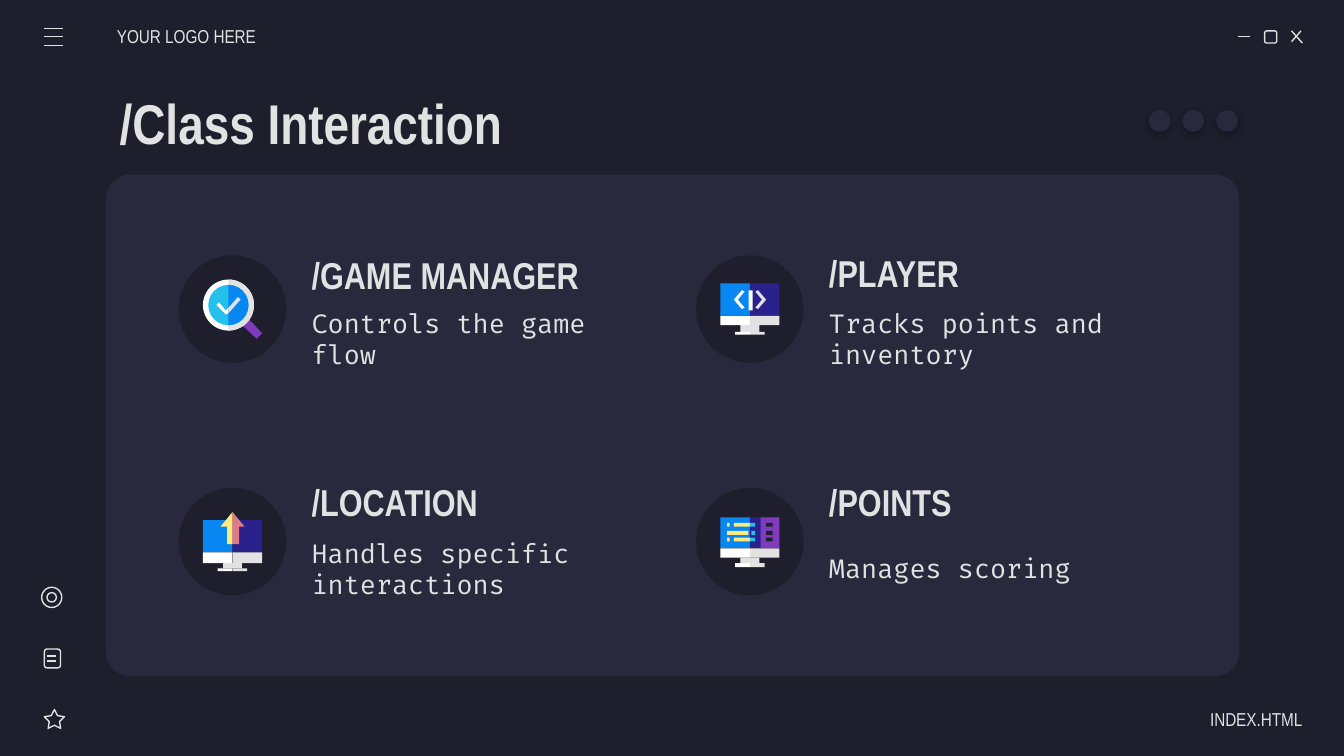
from lxml import etree
from pptx import Presentation
from pptx.dml.color import RGBColor
from pptx.enum.shapes import MSO_CONNECTOR, MSO_SHAPE
from pptx.enum.text import MSO_ANCHOR, PP_ALIGN
from pptx.oxml.ns import qn
from pptx.util import Inches, Pt

RECT, ROUND, OVAL = MSO_SHAPE.RECTANGLE, MSO_SHAPE.ROUNDED_RECTANGLE, MSO_SHAPE.OVAL
CHORD, STAR = MSO_SHAPE.CHORD, MSO_SHAPE.STAR_5_POINT
STRAIGHT = MSO_CONNECTOR.STRAIGHT
MIDDLE, LEFT, RIGHT = MSO_ANCHOR.MIDDLE, PP_ALIGN.LEFT, PP_ALIGN.RIGHT

NARROW, MONO = "Arial Narrow", "Fira Code"
DARK, PANEL, LIGHT, WHITE = "1E1E2C", "29283D", "E2E2E2", "FFFFFF"
BLUE, NAVY, CYAN = "0887F2", "2B218D", "24BFEB"
PURPLE, YELLOW, PINK = "7E3BBE", "FFEA7D", "E07A88"

TITLE = "/Class Interaction"
# heading, description, circle left, circle top, heading top, description top
CARDS = [
    ("/GAME MANAGER", "Controls the game flow", 1.33, 1.9, 1.83, 2.24),
    ("/PLAYER", "Tracks points and inventory", 5.18, 1.9, 1.81, 2.24),
    ("/LOCATION", "Handles specific interactions", 1.33, 3.63, 3.52, 3.95),
    ("/POINTS", "Manages scoring", 5.18, 3.63, 3.52, 3.95),
]
WINDOW_LINES = [(9.21, 0.27, 9.3, 0.27), (9.61, 0.23, 9.69, 0.32), (9.68, 0.23, 9.61, 0.31)]
MENU_LINES = [(0.33, y, 0.47, y) for y in (0.21, 0.27, 0.34)]
NOTE_LINES = [(0.35, y, 0.42, y) for y in (4.88, 4.92)]
SIDE_SHAPES = [
    (STAR, 0.33, 5.28, 0.15, 0.14, (0.254, 1.051, 1.106)),
    (ROUND, 0.33, 4.83, 0.12, 0.14, (0.167,)),
    (OVAL, 0.31, 4.37, 0.15, 0.15, ()),
    (OVAL, 0.35, 4.41, 0.07, 0.07, ()),
]
DOT_LEFTS = (8.55, 8.8, 9.05)

LENS_HANDLE = [(1.83, 2.35), (1.78, 2.4), (1.91, 2.52), (1.95, 2.48)]
CHECK_LEFT = [(1.63, 2.25), (1.61, 2.27), (1.68, 2.34), (1.7, 2.33), (1.7, 2.29), (1.68, 2.31)]
CHECK_RIGHT = [(1.77, 2.21), (1.7, 2.29), (1.7, 2.33), (1.79, 2.23)]
CODE_LEFT = [(5.52, 2.16), (5.46, 2.23), (5.52, 2.3), (5.54, 2.29), (5.49, 2.23), (5.54, 2.17)]
CODE_RIGHT = [(5.64, 2.16), (5.62, 2.17), (5.67, 2.23), (5.62, 2.29), (5.64, 2.3), (5.7, 2.23)]
ARROW_LEFT = [(1.73, 3.81), (1.64, 3.92), (1.69, 3.92), (1.69, 4.05), (1.73, 4.05)]
ARROW_RIGHT = [(1.73, 3.81), (1.73, 4.05), (1.78, 4.05), (1.78, 3.92), (1.82, 3.92)]
OUTER_LIST_ROW = [(5.41, 5.43, YELLOW), (5.46, 5.58, YELLOW), (5.58, 5.62, CYAN), (5.7, 5.75, DARK)]
MIDDLE_LIST_ROW = [(5.41, 5.57, YELLOW), (5.59, 5.62, CYAN), (5.7, 5.75, DARK)]
LIST_ROWS = [(3.89, OUTER_LIST_ROW), (3.95, MIDDLE_LIST_ROW), (4.0, OUTER_LIST_ROW)]


def rgb(color):
    return RGBColor.from_string(color)


def paint(shape, fill=None, line=None):
    shape.shadow.inherit = False
    if fill:
        shape.fill.solid()
        shape.fill.fore_color.rgb = rgb(fill)
    else:
        shape.fill.background()
    if line:
        shape.line.color.rgb = rgb(line)
        shape.line.width = Pt(0.75)
    else:
        shape.line.fill.background()


def add_preset(shapes, kind, left, top, width, height, fill=None, line=None, adjust=()):
    shape = shapes.add_shape(kind, Inches(left), Inches(top), Inches(width), Inches(height))
    for index, value in enumerate(adjust):
        shape.adjustments[index] = value
    paint(shape, fill, line)
    return shape


def add_block(shapes, left, top, right, bottom, fill):
    """Draw a plain rectangle given by its four edges."""
    add_preset(shapes, RECT, left, top, right - left, bottom - top, fill)


def add_polygon(shapes, points, fill):
    corners = [(Inches(x), Inches(y)) for x, y in points]
    builder = shapes.build_freeform(*corners[0])
    builder.add_line_segments(corners[1:], close=True)
    paint(builder.convert_to_shape(), fill)


def add_lines(shapes, lines):
    for ends in lines:
        line = shapes.add_connector(STRAIGHT, *[Inches(value) for value in ends])
        line.line.color.rgb = rgb(LIGHT)
        line.line.width = Pt(0.75)
        etree.SubElement(line._element.spPr, qn("a:effectLst"))


def write(box, text, size, font, bold=False, align=LEFT, left_inset=0.1, right_inset=0.1):
    frame = box.text_frame
    frame.text = text
    frame.word_wrap = True
    frame.vertical_anchor = MIDDLE
    frame.margin_left, frame.margin_right = Inches(left_inset), Inches(right_inset)
    frame.margin_top = frame.margin_bottom = Inches(0.1)
    paragraph = frame.paragraphs[0]
    paragraph.alignment = align
    span = paragraph.runs[0].font
    span.size, span.name, span.bold = Pt(size), font, bold
    span.color.rgb = rgb(LIGHT)


def add_text(shapes, left, top, width, height, *args, **style):
    box = shapes.add_textbox(Inches(left), Inches(top), Inches(width), Inches(height))
    write(box, *args, **style)


def add_soft_shadow(shape):
    effects = shape._element.spPr.find(qn("a:effectLst"))
    shadow = etree.SubElement(effects, qn("a:outerShdw"), blurRad=str(Pt(4.5)), dist=str(Pt(1.5)),
                              dir="5400000", algn="bl", rotWithShape="0")
    color = etree.SubElement(shadow, qn("a:srgbClr"), val="000000")
    etree.SubElement(color, qn("a:alpha"), val="30000")


def add_monitor(shapes, left, top, chin, neck, base, foot):
    """Draw a two-tone screen on a stand; the last five values are its levels downwards."""
    middle, right = left + 0.22, left + 0.44
    add_block(shapes, left, top, middle, chin, BLUE)
    add_block(shapes, middle, top, right, chin, NAVY)
    add_block(shapes, left + 0.15, neck, left + 0.29, base, LIGHT)
    add_block(shapes, left + 0.11, base, middle, foot, WHITE)
    add_block(shapes, middle, base, left + 0.33, foot, LIGHT)
    add_block(shapes, left, chin, middle, neck, WHITE)
    add_block(shapes, middle, chin, right, neck, LIGHT)


def add_magnifier(shapes):
    add_polygon(shapes, LENS_HANDLE, PURPLE)
    for radius, left_fill, right_fill in ((0.19, WHITE, LIGHT), (0.15, CYAN, BLUE)):
        area = (1.7 - radius, 2.27 - radius, 2 * radius, 2 * radius)
        add_preset(shapes, OVAL, *area, left_fill)
        add_preset(shapes, CHORD, *area, right_fill, adjust=(162, 54))
    add_polygon(shapes, CHECK_LEFT, WHITE)
    add_polygon(shapes, CHECK_RIGHT, LIGHT)


def add_code_screen(shapes):
    add_monitor(shapes, 5.36, 2.11, 2.35, 2.42, 2.47, 2.49)
    add_polygon(shapes, CODE_LEFT, WHITE)
    add_polygon(shapes, CODE_RIGHT, LIGHT)
    add_block(shapes, 5.57, 2.16, 5.6, 2.31, WHITE)


def add_upload_screen(shapes):
    add_monitor(shapes, 1.51, 3.87, 4.11, 4.19, 4.23, 4.25)
    add_polygon(shapes, ARROW_LEFT, YELLOW)
    add_polygon(shapes, ARROW_RIGHT, PINK)


def add_list_screen(shapes):
    add_monitor(shapes, 5.36, 3.85, 4.08, 4.15, 4.19, 4.22)
    add_block(shapes, 5.66, 3.85, 5.8, 4.08, PURPLE)
    for top, marks in LIST_ROWS:
        for left, right, fill in marks:
            add_block(shapes, left, top, right, top + 0.03, fill)


def main():
    deck = Presentation()
    deck.slide_width, deck.slide_height = Inches(10), Inches(10 * 9 / 16)
    page = deck.slides.add_slide(deck.slide_layouts[5])
    page.background.fill.solid()
    page.background.fill.fore_color.rgb = rgb(DARK)
    shapes = page.shapes

    title = shapes.title
    title.left, title.top, title.width, title.height = map(Inches, (0.79, 0.59, 8.43, 0.63))
    write(title, TITLE, 30, NARROW, bold=True)
    add_preset(shapes, ROUND, 0.79, 1.3, 8.43, 3.73, PANEL, adjust=(0.047,))

    window = shapes.add_group_shape().shapes
    add_lines(window, WINDOW_LINES)
    add_preset(window, ROUND, 9.41, 0.23, 0.09, 0.09, line=LIGHT, adjust=(0.167,))
    add_lines(shapes.add_group_shape().shapes, MENU_LINES)
    side = shapes.add_group_shape().shapes
    for kind, left, top, width, height, adjust in SIDE_SHAPES:
        add_preset(side, kind, left, top, width, height, line=LIGHT, adjust=adjust)
    add_lines(side, NOTE_LINES)

    add_text(shapes, 0.87, 0.12, 1.17, 0.3, "YOUR LOGO HERE", 10, NARROW, left_inset=0)
    add_text(shapes, 8.52, 5.2, 1.17, 0.3, "INDEX.HTML", 10, NARROW, align=RIGHT, right_inset=0)

    icons = (add_magnifier, add_code_screen, add_upload_screen, add_list_screen)
    for card, add_icon in zip(CARDS, icons):
        heading, description, left, top, heading_top, description_top = card
        add_preset(shapes, OVAL, left, top, 0.8, 0.8, DARK)
        add_text(shapes, left + 0.89, heading_top, 2.73, 0.43, heading, 20, NARROW, bold=True)
        add_text(shapes, left + 0.89, description_top, 2.73, 0.56, description, 14, MONO)
        add_icon(shapes.add_group_shape().shapes)

    dots = shapes.add_group_shape().shapes
    for left in DOT_LEFTS:
        add_soft_shadow(add_preset(dots, OVAL, left, 0.82, 0.16, 0.16, PANEL))
    deck.save("out.pptx")


if __name__ == "__main__":
    main()
